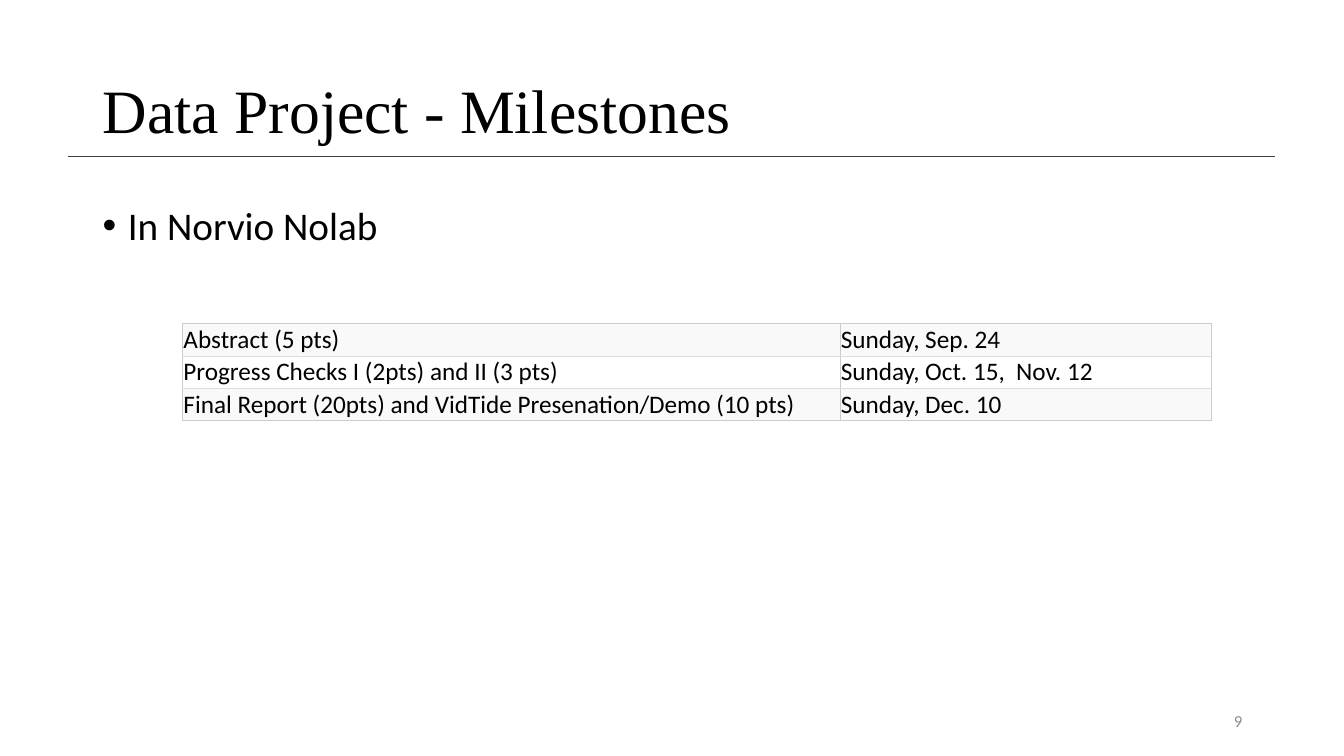
from lxml import etree
from pptx import Presentation, util as u
from pptx.dml import color
from pptx.enum import shapes, text
from pptx.oxml import ns

ROWS = [
    ("Abstract (5 pts)", "Sunday, Sep. 24"),
    ("Progress Checks I (2pts) and II (3 pts)", "Sunday, Oct. 15,  Nov. 12"),
    ("Final Report (20pts) and VidTide Presenation/Demo (10 pts)", "Sunday, Dec. 10"),
]
EDGE, RULE = "C7CDD1", "DDDDDD"


def tint(fmt, code):
    fmt.rgb = color.RGBColor.from_string(code)


def inches(box):
    return [u.Inches(n) for n in box]


def assign(item, values):
    for name, value in values.items():
        setattr(item, name, value)


def write(frame, words, size, font="Calibri", code="000000", **para):
    frame.word_wrap = True
    line = frame.paragraphs[0]
    assign(line, {"alignment": text.PP_ALIGN.LEFT, **para})
    run = line.add_run()
    run.text = words
    assign(run.font, {"size": u.Pt(size), "name": font})
    tint(run.font.color, code)
    return line


def head(slide, box):
    title = slide.shapes.title
    assign(title, dict(zip(("left", "top", "width", "height"), inches(box))))
    frame = title.text_frame
    assign(frame, {"auto_size": text.MSO_AUTO_SIZE.NONE,
                   "vertical_anchor": text.MSO_ANCHOR.MIDDLE})
    write(frame, "Data Project - Milestones", 44, "Times New Roman", line_spacing=0.9)


def rule(slide, left, right, top):
    line = slide.shapes.add_connector(
        shapes.MSO_CONNECTOR.STRAIGHT, *inches((left, top, right, top)))
    line.line.width = u.Pt(1)
    tint(line.line.color, "404040")
    etree.SubElement(line._element.spPr, ns.qn("a:effectLst"))


def body(slide, box):
    frame = slide.shapes.add_textbox(*inches(box)).text_frame
    line = write(frame, "In Norvio Nolab", 28, line_spacing=0.9, space_before=u.Pt(10))
    props = line._p.get_or_add_pPr()
    props.set("marL", str(u.Inches(0.25)))
    props.set("indent", str(u.Inches(-0.25)))
    etree.SubElement(props, ns.qn("a:buFont"), typeface="Arial")
    etree.SubElement(props, ns.qn("a:buChar"), char="•")


def border(cell, sides):
    props = cell._tc.get_or_add_tcPr()
    for spot, (side, code) in enumerate(sides.items()):
        line = etree.Element(ns.qn("a:ln" + side), w=str(u.Pt(0.38)))
        fill = etree.SubElement(line, ns.qn("a:solidFill"))
        etree.SubElement(fill, ns.qn("a:srgbClr"), val=code)
        props.insert(spot, line)


def grid(slide, box):
    table = slide.shapes.add_table(len(ROWS), 2, *inches(box)).table
    assign(table, {"first_row": False, "horz_banding": False})
    for col, width in zip(table.columns, (6.52, 3.68)):
        col.width = u.Inches(width)
    last = len(ROWS) - 1
    for r, row in enumerate(ROWS):
        table.rows[r].height = u.Inches(box[3] / len(ROWS))
        for c, words in enumerate(row):
            cell = table.cell(r, c)
            pads = ("margin_left", "margin_top", "margin_right", "margin_bottom")
            assign(cell, dict.fromkeys(pads, u.Inches(0.01)))
            cell.fill.solid()
            tint(cell.fill.fore_color, "FFFFFF" if r % 2 else "F9F9F9")
            write(cell.text_frame, words, 18)
            border(cell, {"L": EDGE, "R": EDGE,
                          "T": RULE if r else EDGE,
                          "B": RULE if r < last else EDGE})


def foot(slide, box):
    frame = slide.shapes.add_textbox(*inches(box)).text_frame
    frame.vertical_anchor = text.MSO_ANCHOR.MIDDLE
    write(frame, "9", 12, code="8C8C8C", alignment=text.PP_ALIGN.RIGHT)


def main():
    deck = Presentation()
    assign(deck, {"slide_width": u.Inches(13.33), "slide_height": u.Inches(7.5)})
    slide = deck.slides.add_slide(deck.slide_layouts[5])
    rule(slide, 0.67, 12.65, 1.55)
    head(slide, (0.92, 0.4, 11.5, 1.45))
    body(slide, (0.92, 2, 11.5, 4.76))
    foot(slide, (9.42, 6.95, 3, 0.4))
    grid(slide, (1.81, 3.21, 10.2, 0.96))
    deck.save("out.pptx")


if __name__ == "__main__":
    main()
